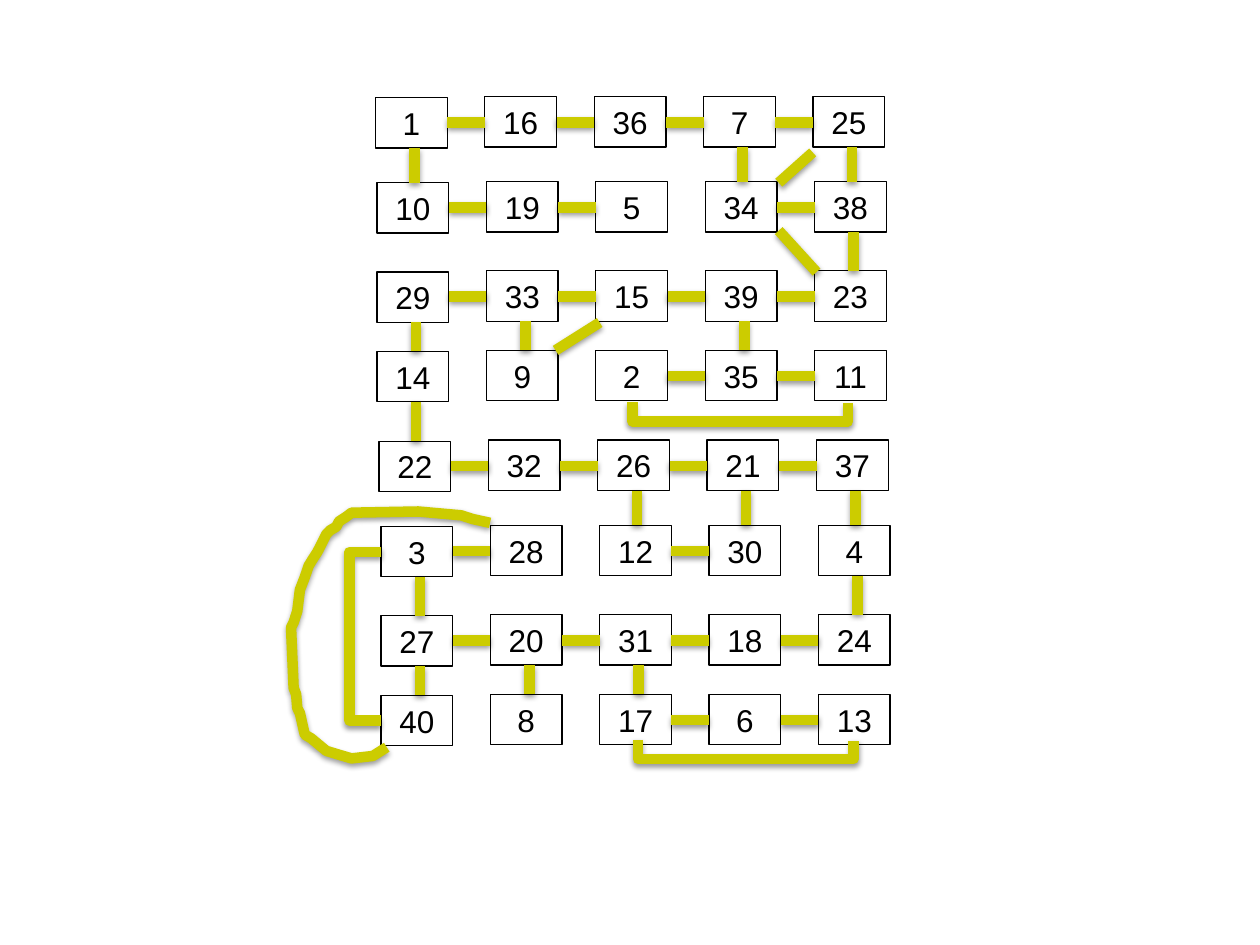
from dataclasses import dataclass

from lxml.etree import SubElement
from pptx import Presentation
from pptx.dml.color import RGBColor
from pptx.enum.shapes import MSO_CONNECTOR as CONN, MSO_SHAPE as SHAPE
from pptx.enum.text import MSO_ANCHOR as ANCHOR, PP_ALIGN as ALIGN
from pptx.oxml.ns import qn
from pptx.util import Pt

BLACK = RGBColor(0x00, 0x00, 0x00)
OLIVE = RGBColor(0xCC, 0xCC, 0x00)
BOX_W, BOX_H = 41, 28.8
PITCH = 62.5
DOWN_SHIFT = 1.8  # downward links sit slightly right of the box centre
ELBOW_STEP = 0.5  # offset between the two ends of a U-shaped link


@dataclass(frozen=True)
class Row:
    left: float
    top: float
    numbers: tuple[int, ...]
    right_links: tuple[int, ...]  # columns linked to their right neighbour
    down_links: tuple[int, ...]  # columns linked to the box below

    def x(self, col: int) -> float:
        return self.left + col * PITCH

    def y(self, col: int) -> float:
        """Top of a box; the first column hangs a little lower."""
        return self.top + (0.6 if col == 0 else 0)


@dataclass(frozen=True)
class Link:
    x1: float
    y1: float
    x2: float
    y2: float


@dataclass(frozen=True)
class Bracket:
    """U-shaped link below two boxes."""
    left: float
    top: float
    width: float
    depth: float


ROWS = (
    Row(214.6, 55.3, (1, 16, 36, 7, 25), (0, 1, 2, 3), (0, 3, 4)),
    Row(215.5, 103.8, (10, 19, 5, 34, 38), (0, 1, 3), (4,)),
    Row(215.5, 154.8, (29, 33, 15, 39, 23), (0, 1, 2, 3), (0, 1, 3)),
    Row(215.5, 200.2, (14, 9, 2, 35, 11), (2, 3), (0,)),
    Row(216.6, 251.5, (22, 32, 26, 21, 37), (0, 1, 2, 3), (2, 3, 4)),
    Row(217.7, 300.2, (3, 28, 12, 30, 4), (0, 2), (0, 4)),
    Row(217.7, 351.2, (27, 20, 31, 18, 24), (0, 1, 2, 3), (0, 1, 2)),
    Row(217.7, 396.8, (40, 8, 17, 6, 13), (2, 3), ()),
)
DIAGONALS = (
    Link(445, 131.8, 466.6, 155.5),
    Link(342.7, 184.3, 317.5, 200.2),
    Link(445, 104.4, 464.4, 87.1),
)
BRACKETS = (
    Bracket(361.4, 229.8, 123.2, 10.8),
    Bracket(364.5, 422.8, 123.2, 10.8),
)
SIDE_LINK = Link(218, 315.4, 218 - ELBOW_STEP, 411.8)
SIDE_DEPTH = 17.9
LOOP = (
    (280, 298.8), (270, 296.6), (263.5, 294.5), (239, 292.3), (200.9, 293),
    (198, 295.2), (193.7, 298), (192.2, 301), (188.6, 303.1), (186.5, 305.3),
    (181.4, 315.4), (178.6, 319.7), (176.4, 323.3), (174.2, 329.8),
    (171.4, 337), (169.9, 349.2), (167.8, 355.7), (166.3, 358.6),
    (167.8, 393.1), (169.2, 396.7), (169.9, 404.6), (171.4, 407.5),
    (173.5, 416.9), (174.2, 419.8), (177.8, 421.9), (186.5, 429.1),
    (193.7, 431.3), (200.9, 433.4), (213.1, 432), (221, 427),
)


def write(sp, text: str, *, size=18, font="Arial", color=BLACK, align=ALIGN.CENTER):
    tf = sp.text_frame
    tf.word_wrap = True
    tf.vertical_anchor = ANCHOR.MIDDLE
    p = tf.paragraphs[0]
    p.alignment = align
    p.space_after = Pt(6)
    r = p.add_run()
    r.text = text
    r.font.size = Pt(size)
    r.font.name = font
    r.font.color.rgb = color


def add_box(shapes, x: float, y: float, number: int):
    sp = shapes.add_shape(SHAPE.RECTANGLE, Pt(x), Pt(y), Pt(BOX_W), Pt(BOX_H))
    sp.shadow.inherit = False
    sp.fill.background()
    sp.line.color.rgb = BLACK
    sp.line.width = Pt(0.75)
    write(sp, str(number))


def style_link(sp):
    """Thick olive line with a soft shadow below it."""
    sp.line.color.rgb = OLIVE
    sp.line.width = Pt(6)
    effects = SubElement(sp._element.spPr, qn("a:effectLst"))
    shadow = SubElement(effects, qn("a:outerShdw"), blurRad=str(Pt(3.1)),
                        dist=str(Pt(1.6)), dir="5400000", rotWithShape="0")
    color = SubElement(shadow, qn("a:srgbClr"), val=str(BLACK))
    SubElement(color, qn("a:alpha"), val="38000")


def add_link(shapes, link: Link, kind=CONN.STRAIGHT):
    sp = shapes.add_connector(kind, Pt(link.x1), Pt(link.y1), Pt(link.x2), Pt(link.y2))
    style_link(sp)
    return sp


def add_elbow(shapes, link: Link, depth: float):
    """Elbow whose middle part lies far outside its two ends."""
    sp = add_link(shapes, link, CONN.ELBOW)
    guides = sp._element.spPr.find(qn("a:prstGeom")).get_or_add_avLst()
    ratio = round(depth / ELBOW_STEP * 100000)
    SubElement(guides, qn("a:gd"), name="adj1", fmla=f"val {ratio}")
    return sp


def add_bracket(shapes, b: Bracket):
    """An elbow drawn upright about the bracket's centre, then turned by 90 degrees."""
    cx, cy = b.left + b.width / 2, b.top + ELBOW_STEP / 2
    upright = Link(cx - ELBOW_STEP / 2, cy + b.width / 2,
                   cx + ELBOW_STEP / 2, cy - b.width / 2)
    sp = add_elbow(shapes, upright, b.depth)
    sp._element.spPr.find(qn("a:xfrm")).set("rot", "5400000")


def add_loop(shapes):
    points = [(Pt(x), Pt(y)) for x, y in LOOP]
    builder = shapes.build_freeform(*points[0])
    builder.add_line_segments(points[1:], close=False)
    sp = builder.convert_to_shape()
    sp.fill.background()
    style_link(sp)


def grid_links() -> list[Link]:
    links = []
    for i, row in enumerate(ROWS):
        for col in row.right_links:
            y = row.top + BOX_H / 2 + 0.3
            links.append(Link(row.x(col) + BOX_W, y, row.x(col + 1), y))
        for col in row.down_links:
            x = row.x(col) + BOX_W / 2 + DOWN_SHIFT
            links.append(Link(x, row.y(col) + BOX_H, x, ROWS[i + 1].y(col)))
    return links


def main():
    prs = Presentation()
    prs.slide_width, prs.slide_height = Pt(720), Pt(540)
    shapes = prs.slides.add_slide(prs.slide_layouts[6]).shapes
    for row in ROWS:
        for col, number in enumerate(row.numbers):
            add_box(shapes, row.x(col), row.y(col), number)
    for link in (*grid_links(), *DIAGONALS):
        add_link(shapes, link)
    add_elbow(shapes, SIDE_LINK, SIDE_DEPTH)
    for bracket in BRACKETS:
        add_bracket(shapes, bracket)
    add_loop(shapes)
    prs.save("out.pptx")


if __name__ == "__main__":
    main()
